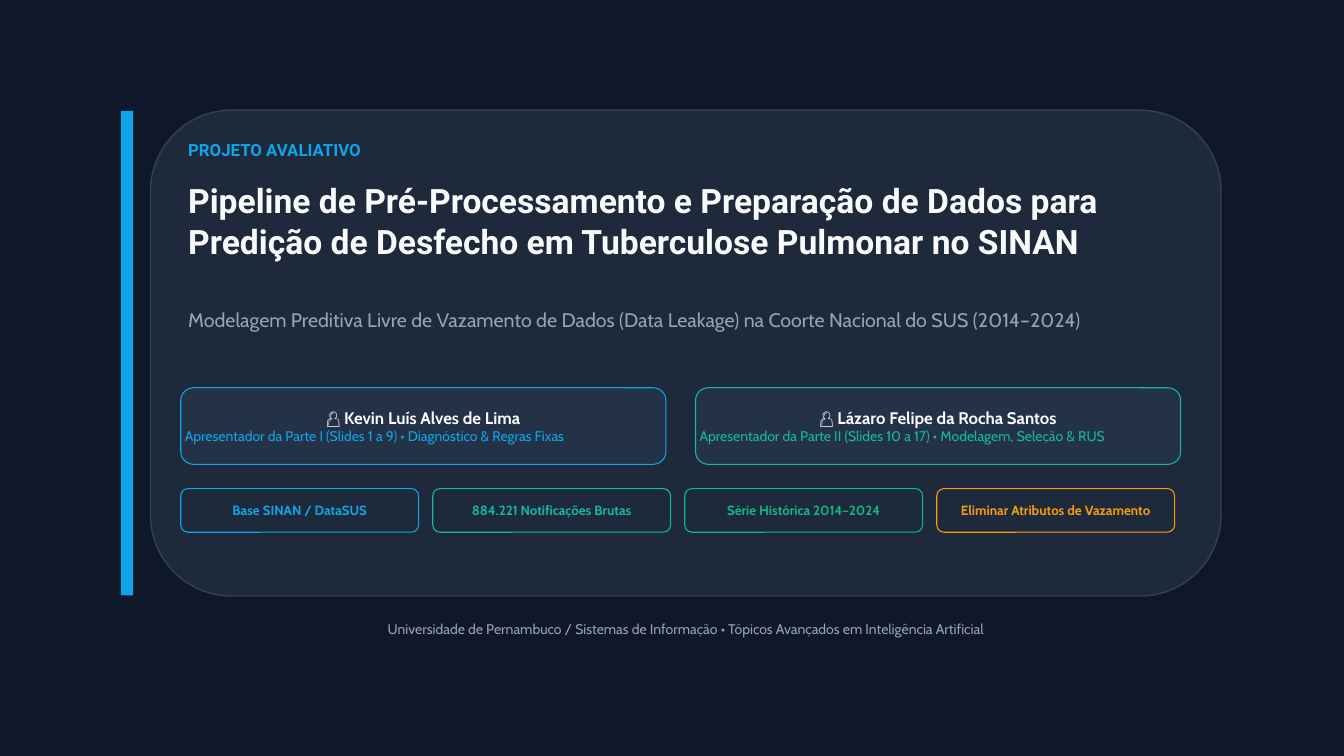
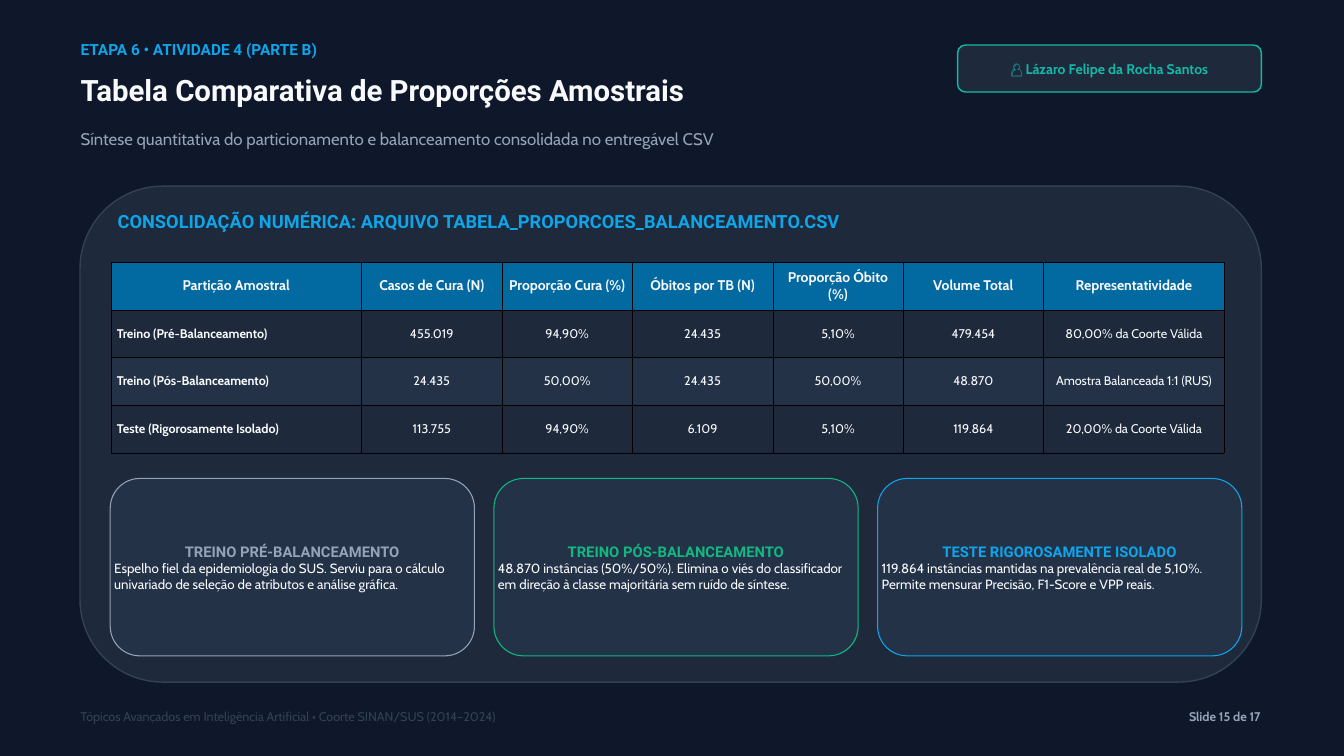
"""Build the cover and the sample-proportion slide of a tuberculosis data project."""
from dataclasses import dataclass

from lxml import etree
from pptx import Presentation
from pptx import util as u
from pptx.dml.color import RGBColor
from pptx.enum import shapes, text
from pptx.oxml import ns

COLUMNS, ROWS = 20, 11.25
CELL = u.Inches(1)
LEFT, CENTER, RIGHT = text.PP_ALIGN.LEFT, text.PP_ALIGN.CENTER, text.PP_ALIGN.RIGHT


@dataclass(frozen=True)
class Theme:
    """Colours, fonts and type sizes of the deck."""
    night: str = "0F172A"
    panel: str = "1E293B"
    raised: str = "243248"
    edge: str = "334155"
    white: str = "F8FAFC"
    muted: str = "94A3B8"
    blue: str = "0EA5E9"
    deep_blue: str = "0369A1"
    teal: str = "14B8A6"
    green: str = "10B981"
    amber: str = "F59E0B"
    grid: str = "000000"
    display: str = "Roboto"
    body: str = "Cabin"
    cover_sizes: tuple = (18, 36, 21)
    content_sizes: tuple = (16.5, 31.5, 18)
    section: float = 19.5
    name: float = 18
    card_head: float = 15.8
    label: float = 15
    note: float = 14.3
    small: float = 13.5


THEME = Theme()


def cells(*counts):
    """Turn grid cells into slide lengths."""
    return [u.Emu(round(count * CELL)) for count in counts]


def spread(start, width, gap, count):
    """Return the left edges of equal items with equal gaps."""
    return [start + index * (width + gap) for index in range(count)]


def color(code):
    """Return the colour for a hex code."""
    return RGBColor.from_string(code)


def write(frame, words, size=THEME.label, ink=THEME.white, font=THEME.body,
          bold=False, align=LEFT):
    """Add one formatted paragraph to a text frame."""
    last = frame.paragraphs[-1]
    paragraph = frame.add_paragraph() if last.runs else last
    paragraph.alignment = align
    paragraph.line_spacing = u.Pt(round(size * 1.2, 1))
    paragraph.space_before = paragraph.space_after = u.Pt(0)
    run = paragraph.add_run()
    run.text = words
    run.font.size, run.font.name, run.font.bold = u.Pt(size), font, bold
    run.font.color.rgb = color(ink)


def set_frame(frame, margin=0, anchor=text.MSO_ANCHOR.TOP):
    """Set wrapping, margins and anchor of a text frame."""
    frame.word_wrap = True
    frame.auto_size = text.MSO_AUTO_SIZE.NONE
    frame.vertical_anchor = anchor
    (frame.margin_left, frame.margin_top,
     frame.margin_right, frame.margin_bottom) = cells(*[margin] * 4)
    return frame


def add_frame(slide, at, **setting):
    """Add a text box and return its frame."""
    return set_frame(slide.shapes.add_textbox(*cells(*at)).text_frame, **setting)


def add_block(slide, at, fill, line=None, weight=1.13,
              outline=shapes.MSO_SHAPE.ROUNDED_RECTANGLE):
    """Add a filled block, rounded unless told otherwise."""
    block = slide.shapes.add_shape(outline, *cells(*at))
    block.shadow.inherit = False
    block.fill.solid()
    block.fill.fore_color.rgb = color(fill)
    if line:
        block.line.color.rgb = color(line)
        block.line.width = u.Pt(weight)
    else:
        block.line.fill.background()
    return block


def add_heading(slide, left, width, tops, heights, sizes, words):
    """Add the kicker, the title and the subtitle."""
    kicker, title, subtitle = words
    spots = [(left, top, width, height) for top, height in zip(tops, heights)]
    write(add_frame(slide, spots[0]), kicker, size=sizes[0], ink=THEME.blue,
          font=THEME.display, bold=True)
    holder = slide.shapes.title
    holder.left, holder.top, holder.width, holder.height = cells(*spots[1])
    slide.shapes.element.append(holder.element)
    write(set_frame(holder.text_frame), title, size=sizes[1],
          font=THEME.display, bold=True)
    write(add_frame(slide, spots[2]), subtitle, size=sizes[2], ink=THEME.muted)


def add_tag(slide, at, words, accent, size=THEME.note, weight=1.13):
    """Add an outlined tag with centred text."""
    tag = add_block(slide, at, THEME.panel, accent, weight)
    frame = set_frame(tag.text_frame, margin=0.03, anchor=text.MSO_ANCHOR.MIDDLE)
    write(frame, words, size=size, ink=accent, bold=True, align=CENTER)


def add_card(slide, at, accent, head, detail):
    """Add a raised card with a centred head above its detail."""
    add_block(slide, at, THEME.raised, accent)
    frame = add_frame(slide, at, margin=0.06, anchor=text.MSO_ANCHOR.MIDDLE)
    write(frame, bold=True, align=CENTER, **head)
    write(frame, **detail)


def add_borders(cell):
    """Draw thin borders around a table cell."""
    properties = cell._tc.get_or_add_tcPr()
    for side in ("a:lnL", "a:lnR", "a:lnT", "a:lnB"):
        line = etree.SubElement(properties, ns.qn(side), w=str(u.Pt(0.37)))
        fill = etree.SubElement(line, ns.qn("a:solidFill"))
        etree.SubElement(fill, ns.qn("a:srgbClr"), val=THEME.grid)


def add_data_table(slide, left, top, widths, row_height, records):
    """Add a table with a blue header and alternating rows."""
    spot = cells(left, top, sum(widths), row_height * len(records))
    table = slide.shapes.add_table(len(records), len(widths), *spot).table
    table.first_row = table.horz_banding = False
    for column, width in zip(table.columns, cells(*widths)):
        column.width = width
    for row, record in enumerate(records):
        header = row == 0
        fill = THEME.deep_blue if header else (THEME.raised, THEME.panel)[row % 2]
        for column, value in enumerate(record):
            cell = table.cell(row, column)
            add_borders(cell)
            cell.fill.solid()
            cell.fill.fore_color.rgb = color(fill)
            cell.vertical_anchor = text.MSO_ANCHOR.MIDDLE
            (cell.margin_left, cell.margin_top,
             cell.margin_right, cell.margin_bottom) = cells(*[0.09] * 4)
            write(cell.text_frame, value,
                  size=THEME.label if header else THEME.small,
                  bold=header or column == 0,
                  align=LEFT if column == 0 and not header else CENTER)


def add_footer(slide, course, number):
    """Add the course line and the slide count."""
    write(add_frame(slide, (1.2, 10.55, 12, 0.48)), course,
          size=THEME.small, ink=THEME.edge)
    write(add_frame(slide, (15.76, 10.55, 3, 0.25)), number,
          size=THEME.small, ink=THEME.muted, bold=True, align=RIGHT)


def build_cover(slide):
    """Fill the cover slide."""
    add_block(slide, (1.8, 1.65, 0.18, 7.21), THEME.blue,
              outline=shapes.MSO_SHAPE.RECTANGLE)
    add_block(slide, (2.24, 1.64, 15.93, 7.23), THEME.panel, THEME.edge, 1.5)
    add_heading(slide, 2.8, 14.81, (2.08, 2.68, 4.58), (0.29, 1.7, 0.4),
                THEME.cover_sizes, (
        "PROJETO AVALIATIVO",
        "Pipeline de Pré-Processamento e Preparação de Dados para "
        "Predição de Desfecho em Tuberculose Pulmonar no SINAN",
        "Modelagem Preditiva Livre de Vazamento de Dados (Data Leakage) "
        "na Coorte Nacional do SUS (2014–2024)"))
    presenters = [
        (THEME.blue, "👤 Kevin Luís Alves de Lima",
         "Apresentador da Parte I (Slides 1 a 9) • Diagnóstico & Regras Fixas"),
        (THEME.teal, "👤 Lázaro Felipe da Rocha Santos",
         "Apresentador da Parte II (Slides 10 a 17) • Modelagem, Seleção & RUS"),
    ]
    for left, (accent, name, part) in zip(spread(2.69, 7.22, 0.44, 2), presenters):
        add_card(slide, (left, 5.77, 7.22, 1.14), accent,
                 dict(words=name, size=THEME.name), dict(words=part, ink=accent))
    facts = [
        ("Base SINAN / DataSUS", THEME.blue),
        ("884.221 Notificações Brutas", THEME.teal),
        ("Série Histórica 2014–2024", THEME.green),
        ("Eliminar Atributos de Vazamento", THEME.amber),
    ]
    for left, (fact, accent) in zip(spread(2.69, 3.54, 0.21, 4), facts):
        add_tag(slide, (left, 7.27, 3.54, 0.65), fact, accent)
    write(add_frame(slide, (2.35, 9.24, 15.71, 0.29)),
          "Universidade de Pernambuco / Sistemas de Informação • "
          "Tópicos Avançados em Inteligência Artificial",
          ink=THEME.muted, align=CENTER)


def build_proportions(slide):
    """Fill the slide that compares sample proportions."""
    add_heading(slide, 1.2, 12.76, (0.6, 1.08, 1.91), (0.48, 0.83, 0.61),
                THEME.content_sizes, (
        "ETAPA 6 • ATIVIDADE 4 (PARTE B)",
        "Tabela Comparativa de Proporções Amostrais",
        "Síntese quantitativa do particionamento e balanceamento "
        "consolidada no entregável CSV"))
    add_tag(slide, (14.25, 0.67, 4.52, 0.7), "👤 Lázaro Felipe da Rocha Santos",
            THEME.teal, size=THEME.label, weight=1.5)
    add_footer(slide, "Tópicos Avançados em Inteligência Artificial • "
               "Coorte SINAN/SUS (2014–2024)", "Slide 15 de 17")
    add_block(slide, (1.19, 2.77, 17.58, 7.38), THEME.panel, THEME.edge, 1.5)
    write(add_frame(slide, (1.75, 3.13, 16.31, 0.5)),
          "CONSOLIDAÇÃO NUMÉRICA: ARQUIVO TABELA_PROPORCOES_BALANCEAMENTO.CSV",
          size=THEME.section, ink=THEME.blue, font=THEME.display, bold=True)
    add_data_table(slide, 1.65, 3.9, (3.73, 2.09, 1.94, 2.09, 1.94, 2.09, 2.69), 0.71, [
        ("Partição Amostral", "Casos de Cura (N)", "Proporção Cura (%)",
         "Óbitos por TB (N)", "Proporção Óbito (%)", "Volume Total",
         "Representatividade"),
        ("Treino (Pré-Balanceamento)", "455.019", "94,90%", "24.435", "5,10%",
         "479.454", "80,00% da Coorte Válida"),
        ("Treino (Pós-Balanceamento)", "24.435", "50,00%", "24.435", "50,00%",
         "48.870", "Amostra Balanceada 1:1 (RUS)"),
        ("Teste (Rigorosamente Isolado)", "113.755", "94,90%", "6.109", "5,10%",
         "119.864", "20,00% da Coorte Válida"),
    ])
    partitions = [
        (THEME.muted, "TREINO PRÉ-BALANCEAMENTO",
         "Espelho fiel da epidemiologia do SUS. Serviu para o cálculo "
         "univariado de seleção de atributos e análise gráfica."),
        (THEME.green, "TREINO PÓS-BALANCEAMENTO",
         "48.870 instâncias (50%/50%). Elimina o viés do classificador "
         "em direção à classe majoritária sem ruído de síntese."),
        (THEME.blue, "TESTE RIGOROSAMENTE ISOLADO",
         "119.864 instâncias mantidas na prevalência real de 5,10%. "
         "Permite mensurar Precisão, F1-Score e VPP reais."),
    ]
    for left, (accent, name, summary) in zip(spread(1.64, 5.42, 0.29, 3), partitions):
        add_card(slide, (left, 7.12, 5.42, 2.64), accent,
                 dict(words=name, size=THEME.card_head, ink=accent, font=THEME.display),
                 dict(words=summary, size=THEME.note))


def main():
    """Build and save the deck."""
    deck = Presentation()
    deck.slide_width, deck.slide_height = cells(COLUMNS, ROWS)
    backdrop = deck.slide_master.background.fill
    backdrop.solid()
    backdrop.fore_color.rgb = color(THEME.night)
    title_only = deck.slide_layouts.get_by_name("Title Only")
    for build in (build_cover, build_proportions):
        build(deck.slides.add_slide(title_only))
    deck.save("out.pptx")


if __name__ == "__main__":
    main()
